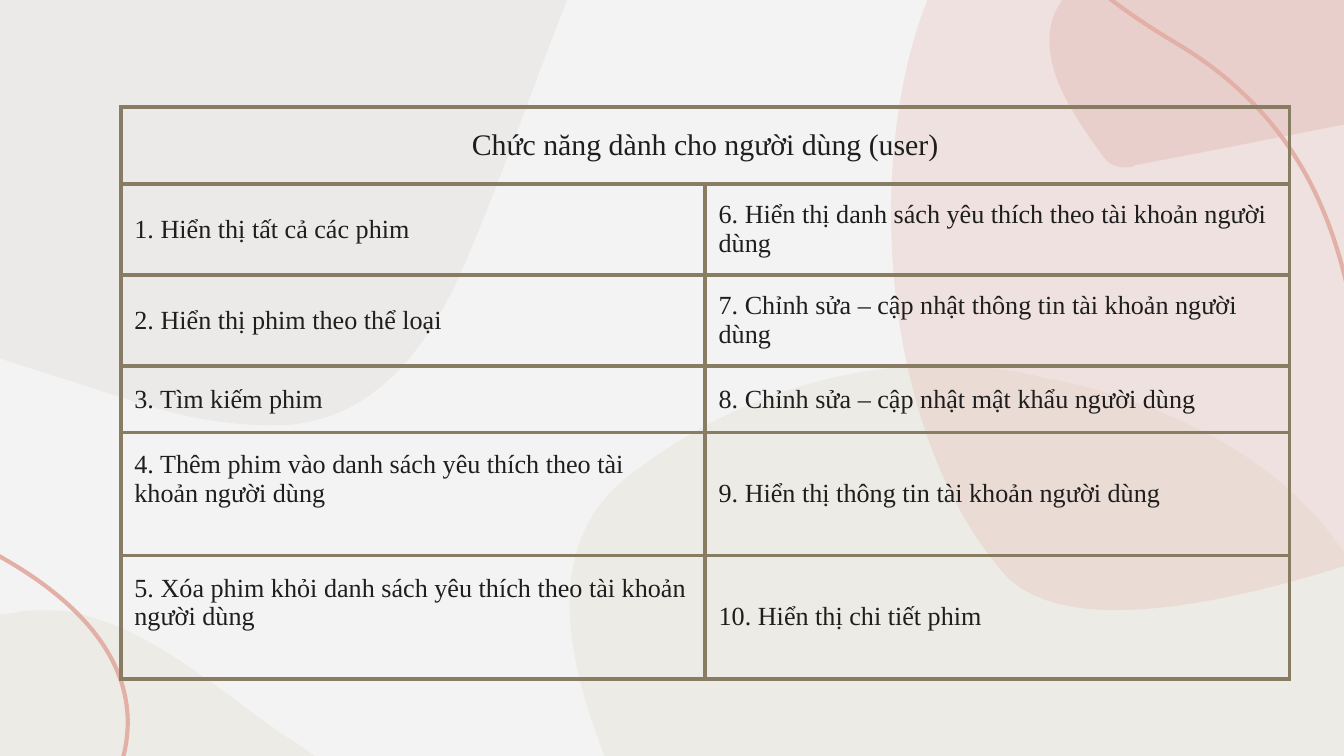
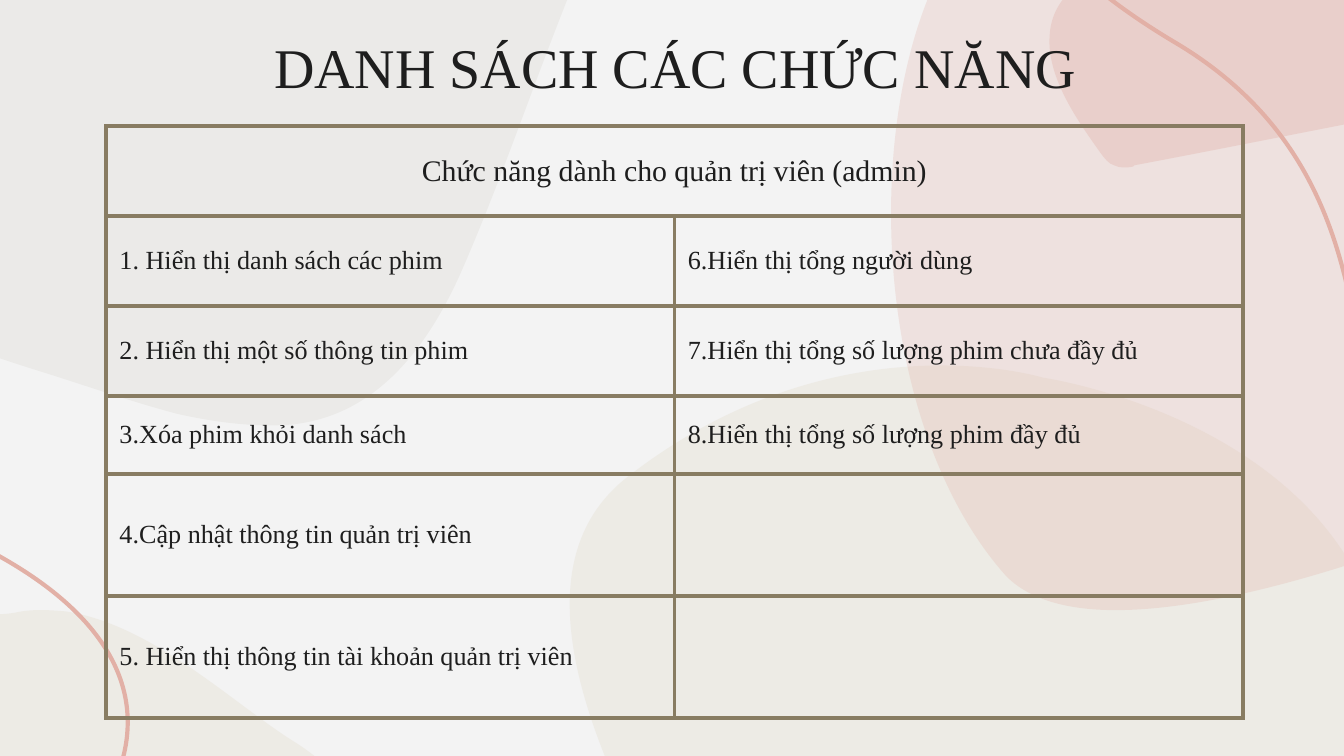
from dataclasses import dataclass
from itertools import zip_longest

from pptx import Presentation
from pptx.dml.color import RGBColor
from pptx.enum.text import MSO_ANCHOR, MSO_AUTO_SIZE, PP_ALIGN
from pptx.oxml.ns import qn
from pptx.oxml.xmlchemy import OxmlElement
from pptx.util import Pt

LEFT, CENTER = PP_ALIGN.LEFT, PP_ALIGN.CENTER
MIDDLE = MSO_ANCHOR.MIDDLE
NO_FIT = MSO_AUTO_SIZE.NONE
TITLE_ONLY, BLANK = 5, 6


@dataclass(frozen=True)
class Theme:
    font: str = "Times New Roman"
    ink: str = "1E1E1E"
    paper: str = "F3F3F3"
    sand: str = "E7E2D6"
    rose: str = "E2B0A6"
    olive: str = "887C62"
    title: float = 30
    heading: float = 16
    body: float = 14
    stroke: float = 2.25
    inset: float = 7.2
    line: float = 15.5


# Outlines on a grid of 72 points: a start point, then three points per curve
GRID = 72
BLOB_BOTTOM_RIGHT = [
    (9.99, 4.1), (10.19, 4.41), (10.33, 4.8), (10.34, 5.28),
    (10.37, 7.38), (9.71, 8.36), (9.71, 8.36),
    (9.71, 8.36), (9.14, 8.81), (9.57, 9.47),
    (9.59, 9.49), (9.61, 9.52), (9.63, 9.55),
    (9.7, 9.64), (9.77, 9.73), (9.83, 9.82),
    (10.22, 10.41), (10.33, 10.91), (10.17, 11.07),
    (9.99, 11.26), (9.06, 11.21), (8.45, 10.81),
    (7.93, 10.48), (7.02, 10.13), (6.6, 9.49),
    (6.52, 9.37), (6.46, 9.23), (6.42, 9.09),
    (6.18, 8.18), (3.12, 4.73), (4.68, 3.54),
    (6.23, 2.34), (7.76, 2.81), (7.76, 2.81),
    (7.76, 2.81), (9.28, 3.03), (9.99, 4.1),
]
BLOB_RIGHT = [
    (11.37, -1.36), (9.92, -1.36), (6.92, -0.06), (6.9, 0),
    (6.42, 1.21), (6.56, 3.24), (7.48, 4.28),
    (7.65, 4.46), (7.94, 4.54), (8.3, 4.54),
    (9.99, 4.54), (13.31, 2.88), (13.69, 2.39),
    (14.14, 1.8), (12.94, -0.96), (11.78, -1.31),
    (11.66, -1.34), (11.52, -1.36), (11.37, -1.36),
]
WAVE_RIGHT = [
    (12.91, 4.8), (12.91, 4.8), (11.05, 4.5), (10.51, 3.93),
    (9.88, 3.26), (10.51, 1.37), (8.75, 0.32),
    (6.98, -0.73), (7.12, -1.83), (8.41, -2.56),
]
BLOB_CORNER = [
    (11.88, -1.07), (12.14, -1.12), (12.39, -1.13), (12.58, -1.01),
    (12.85, -0.83), (12.98, -0.47), (13.1, -0.18),
    (13.26, 0.22), (12.65, 0.44), (12.09, 0.55),
    (12.05, 0.56), (12.02, 0.57), (11.99, 0.57),
    (11.68, 0.63), (11.41, 0.66), (11.3, 0.68),
    (11.03, 0.73), (10.77, 0.78), (10.5, 0.83),
    (9.82, 0.96), (9.13, 1.1), (8.44, 1.23),
    (8.44, 1.24), (8.43, 1.24), (8.43, 1.24),
    (8.38, 1.25), (8.33, 1.25), (8.29, 1.23),
    (8.25, 1.22), (8.22, 1.18), (8.19, 1.14),
    (8.02, 0.9), (7.79, 0.58), (7.81, 0.27),
    (7.83, -0.19), (8.42, -0.33), (8.88, -0.41),
    (8.94, -0.43), (8.99, -0.44), (9.05, -0.45),
    (9.12, -0.46), (9.18, -0.47), (9.24, -0.49),
    (9.79, -0.63), (10.36, -0.75), (10.92, -0.86),
    (11.03, -0.88), (11.14, -0.9), (11.25, -0.92),
    (11.44, -0.95), (11.66, -1.03), (11.88, -1.07),
]
BLOB_TOP_LEFT = [
    (1.7, -3.23), (1.67, -3.24), (1.64, -3.25), (1.62, -3.25),
    (1.56, -3.27), (1.49, -3.28), (1.43, -3.3),
    (0.62, -3.48), (-0.39, -3.69), (-1.12, -3.26),
    (-1.61, -2.97), (-1.84, -2.26), (-2.07, -1.78),
    (-2.38, -1.15), (-2.66, -0.51), (-2.86, 0.16),
    (-3.13, 1.07), (-2.81, 1.6), (-1.95, 1.94),
    (-1.2, 2.24), (-0.45, 2.53), (0.32, 2.77),
    (0.64, 2.87), (0.98, 2.99), (1.32, 3.08),
    (1.59, 3.14), (1.88, 3.18), (2.16, 3.16),
    (2.79, 3.1), (3.17, 2.6), (3.42, 2.05),
    (3.72, 1.37), (3.96, 0.65), (4.24, -0.05),
    (4.49, -0.66), (4.61, -1.37), (4.15, -1.92),
    (3.54, -2.64), (2.6, -3.01), (1.7, -3.23),
]
BLOB_BOTTOM_LEFT = [
    (-2.49, 9.14), (-2.16, 9.19), (-1.81, 9.15), (-1.44, 8.98),
    (0.21, 8.25), (0.74, 7.39), (0.74, 7.39),
    (0.74, 7.39), (0.88, 6.78), (1.55, 6.88),
    (1.58, 6.88), (1.61, 6.89), (1.63, 6.89),
    (1.73, 6.92), (1.83, 6.93), (1.92, 6.95),
    (2.51, 7.04), (2.94, 6.95), (3.02, 6.77),
    (3.1, 6.55), (2.72, 5.85), (2.19, 5.52),
    (1.74, 5.24), (1.14, 4.65), (0.49, 4.55),
    (0.37, 4.54), (0.24, 4.53), (0.11, 4.56),
    (-0.68, 4.7), (-4.47, 3.56), (-4.84, 5.2),
    (-5.21, 6.85), (-4.29, 7.87), (-4.29, 7.87),
    (-4.29, 7.87), (-3.57, 8.97), (-2.49, 9.14),
]
WAVE_LEFT = [
    (-5.49, 0.13), (-5.49, 0.13), (-3.6, 0.12), (-2.98, 0.58),
    (-2.24, 1.14), (-2.55, 3.11), (-0.63, 3.85),
    (1.29, 4.59), (1.33, 5.69), (0.19, 6.63),
]


class Deck:
    def __init__(self, theme):
        self.theme = theme
        self.prs = Presentation()
        self.prs.slide_width, self.prs.slide_height = Pt(720), Pt(405)
        self.s = None

    def slide(self, layout):
        self.s = self.prs.slides.add_slide(self.prs.slide_layouts[layout])

    def background(self, color):
        fill = self.prs.slide_master.background.fill
        fill.solid()
        fill.fore_color.rgb = RGBColor.from_string(color)

    def curve(self, points, color, opacity=None):
        """A filled blob when opacity (percent) is given, else an open line."""
        pts = [(Pt(x * GRID), Pt(y * GRID)) for x, y in points]
        fb = self.s.shapes.build_freeform(*pts[0])
        fb.add_line_segments(pts[1:], close=opacity is not None)
        sp = fb.convert_to_shape()
        sp.shadow.inherit = False
        rgb = RGBColor.from_string(color)
        if opacity is None:
            sp.fill.background()
            sp.line.color.rgb = rgb
            sp.line.width = Pt(self.theme.stroke)
        else:
            sp.line.fill.background()
            sp.fill.solid()
            sp.fill.fore_color.rgb = rgb
            alpha = OxmlElement("a:alpha")
            alpha.set("val", str(opacity * 1000))
            next(sp.element.spPr.iter(qn("a:srgbClr"))).append(alpha)
        # Every three straight segments become one Bezier curve
        segments = list(sp.element.iter(qn("a:lnTo")))
        for i in range(0, len(segments), 3):
            bezier = OxmlElement("a:cubicBezTo")
            segments[i].addprevious(bezier)
            for seg in segments[i:i + 3]:
                bezier.append(seg[0])
                seg.getparent().remove(seg)
        return sp

    def to_master(self, shapes):
        tree = self.prs.slide_master.shapes.element
        for i, sp in enumerate(shapes):
            sp.element.nvSpPr.cNvPr.set("id", str(100 + i))
            tree.insert(2 + i, sp.element)

    def add_text(self, tf, text, size, align):
        p = tf.paragraphs[0]
        p.alignment = align
        r = p.add_run()
        r.text = text
        r.font.name = self.theme.font
        r.font.size = Pt(size)
        r.font.bold = False
        r.font.color.rgb = RGBColor.from_string(self.theme.ink)

    def title(self, text, x, y, w, h):
        sp = self.s.shapes.title
        sp.left, sp.top, sp.width, sp.height = Pt(x), Pt(y), Pt(w), Pt(h)
        tf = sp.text_frame
        tf.word_wrap = True
        tf.auto_size = NO_FIT
        tf.vertical_anchor = MIDDLE
        tf.margin_left = tf.margin_right = Pt(self.theme.inset)
        tf.margin_top = tf.margin_bottom = Pt(self.theme.inset)
        self.add_text(tf, text, self.theme.title, CENTER)

    def style_cell(self, cell):
        tcPr = cell._tc.get_or_add_tcPr()
        for side in ("a:lnL", "a:lnR", "a:lnT", "a:lnB"):
            ln = OxmlElement(side)
            ln.set("w", str(Pt(self.theme.stroke)))
            fill, clr = OxmlElement("a:solidFill"), OxmlElement("a:srgbClr")
            clr.set("val", self.theme.olive)
            fill.append(clr)
            ln.append(fill)
            tcPr.append(ln)
        cell.fill.background()
        cell.vertical_anchor = MIDDLE
        cell.margin_left = cell.margin_right = Pt(self.theme.inset)
        cell.margin_top = cell.margin_bottom = Pt(self.theme.inset)

    def table(self, x, y, w, heights, heading, left, right, raised=()):
        """Two columns under a merged heading; raised items sit half a line up."""
        tbl = self.s.shapes.add_table(
            len(heights), 2, Pt(x), Pt(y), Pt(w), Pt(sum(heights))).table
        tbl.first_row = tbl.horz_banding = False
        for col in tbl.columns:
            col.width = Pt(w / 2)
        for row, h in zip(tbl.rows, heights):
            row.height = Pt(h)
        for cell in tbl.iter_cells():
            self.style_cell(cell)
        tbl.cell(0, 0).merge(tbl.cell(0, 1))
        self.add_text(tbl.cell(0, 0).text_frame, heading, self.theme.heading, CENTER)
        for i, pair in enumerate(zip_longest(left, right), 1):
            for j, text in enumerate(pair):
                if text:
                    self.add_text(tbl.cell(i, j).text_frame, text, self.theme.body, LEFT)
        for i in raised:
            tbl.cell(i, 0).margin_bottom = Pt(self.theme.inset + self.theme.line)


def main():
    t = Theme()
    d = Deck(t)

    # Shared background on the master
    d.background(t.paper)
    d.slide(BLANK)
    d.to_master([
        d.curve(BLOB_BOTTOM_RIGHT, t.sand, 46),
        d.curve(BLOB_RIGHT, t.rose, 26),
        d.curve(WAVE_RIGHT, t.rose),
        d.curve(BLOB_CORNER, t.rose, 35),
        d.curve(BLOB_TOP_LEFT, t.olive, 7),
        d.curve(BLOB_BOTTOM_LEFT, t.sand, 46),
        d.curve(WAVE_LEFT, t.rose),
    ])

    # Slide 1: user functions
    d.table(
        64.8, 57.3, 626, [41.3, 48.8, 48.8, 35.5, 66, 66],
        "Chức năng dành cho người dùng (user)",
        ["1. Hiển thị tất cả các phim",
         "2. Hiển thị phim theo thể loại",
         "3. Tìm kiếm phim",
         "4. Thêm phim vào danh sách yêu thích theo tài khoản người dùng",
         "5. Xóa phim khỏi danh sách yêu thích theo tài khoản người dùng"],
        ["6. Hiển thị danh sách yêu thích theo tài khoản người dùng",
         "7. Chỉnh sửa – cập nhật thông tin tài khoản người dùng",
         "8. Chỉnh sửa – cập nhật mật khẩu người dùng",
         "9. Hiển thị thông tin tài khoản người dùng",
         "10. Hiển thị chi tiết phim"],
        raised=(4, 5))

    # Slide 2: admin functions
    d.slide(TITLE_ONLY)
    d.title("DANH SÁCH CÁC CHỨC NĂNG", 58.3, 9.4, 607, 51.8)
    d.table(
        56.8, 67.6, 609, [48.2, 48.2, 48.2, 41.8, 65.4, 65.4],
        "Chức năng dành cho quản trị viên (admin)",
        ["1. Hiển thị danh sách các phim",
         "2. Hiển thị một số thông tin phim",
         "3.Xóa phim khỏi danh sách",
         "4.Cập nhật thông tin quản trị viên",
         "5. Hiển thị thông tin tài khoản quản trị viên"],
        ["6.Hiển thị tổng người dùng",
         "7.Hiển thị tổng số lượng phim chưa đầy đủ",
         "8.Hiển thị tổng số lượng phim đầy đủ"])

    d.prs.save("out.pptx")


if __name__ == "__main__":
    main()
